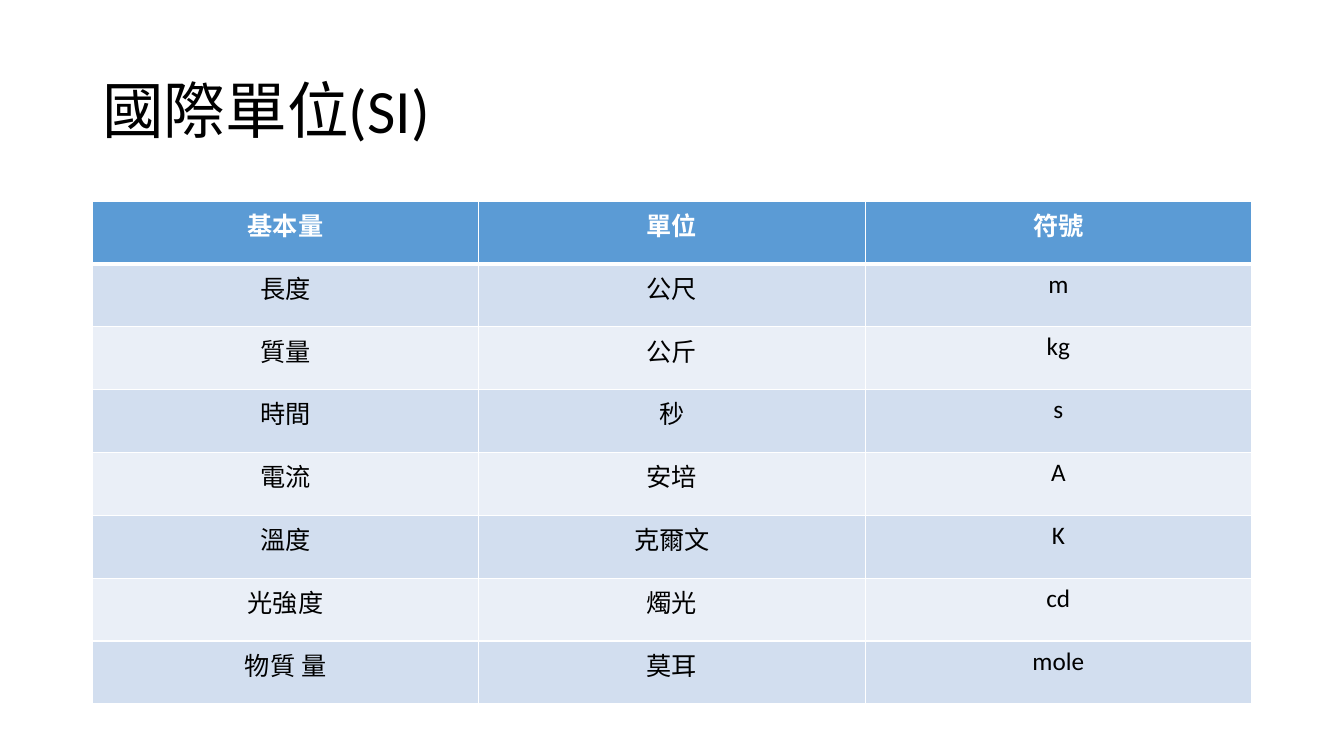
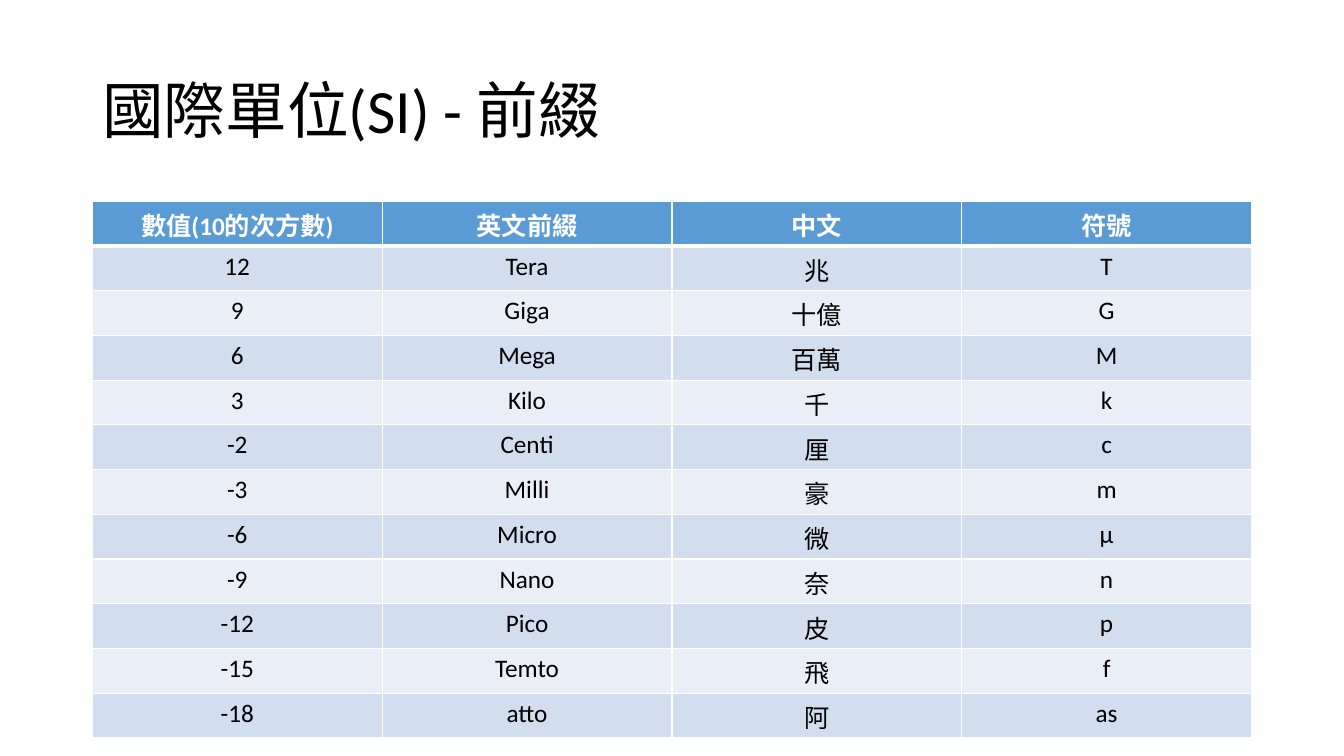
"""Build two slides of tables on SI base units and SI prefixes."""
from lxml.etree import SubElement
from pptx import Presentation
from pptx.dml.color import RGBColor
from pptx.enum.text import MSO_ANCHOR as Anchor, PP_ALIGN as Align
from pptx.oxml.ns import qn
from pptx.util import Pt

COLORS = {
    "text": "000000",
    "header": "5B9BD5",
    "header_text": "FFFFFF",
    "odd_row": "D2DEEF",
    "even_row": "EAEFF7",
    "border": "FFFFFF",
}
FONT = "Calibri"
LEFT, WIDTH = 66, 828
TITLE_TOP, TITLE_HEIGHT = 28.75, 104.4
TABLE_TOP = 143.75

base_units = [
    ("基本量", "單位", "符號"),
    ("長度", "公尺", "m"),
    ("質量", "公斤", "kg"),
    ("時間", "秒", "s"),
    ("電流", "安培", "A"),
    ("溫度", "克爾文", "K"),
    ("光強度", "燭光", "cd"),
    ("物質 量", "莫耳", "mole"),
]
prefixes = [
    ("數值(10的次方數)", "英文前綴", "中文", "符號"),
    ("12", "Tera", "兆", "T"),
    ("9", "Giga", "十億", "G"),
    ("6", "Mega", "百萬", "M"),
    ("3", "Kilo", "千", "k"),
    ("-2", "Centi", "厘", "c"),
    ("-3", "Milli", "豪", "m"),
    ("-6", "Micro", "微", "μ"),
    ("-9", "Nano", "奈", "n"),
    ("-12", "Pico", "皮", "p"),
    ("-15", "Temto", "飛", "f"),
    ("-18", "atto", "阿", "as"),
]
pages = [
    ("國際單位(SI)", base_units, 44.9),
    ("國際單位(SI) - 前綴", prefixes, 31.95),
]


def set_font(paragraph, size, color, bold=False):
    font = paragraph.font
    font.name, font.size, font.bold = FONT, Pt(size), bold
    font.color.rgb = RGBColor.from_string(COLORS[color])


def add_borders(cell, top, bottom):
    properties = cell._tc.get_or_add_tcPr()
    for side, width in (("L", 1), ("R", 1), ("T", top), ("B", bottom)):
        line = SubElement(properties, qn(f"a:ln{side}"), w=str(Pt(width)))
        fill = SubElement(line, qn("a:solidFill"))
        SubElement(fill, qn("a:srgbClr"), val=COLORS["border"])


deck = Presentation()
deck.slide_width, deck.slide_height = Pt(960), Pt(540)

for title, rows, row_height in pages:
    slide = deck.slides.add_slide(deck.slide_layouts[6])

    heading = slide.shapes.add_textbox(
        Pt(LEFT), Pt(TITLE_TOP), Pt(WIDTH), Pt(TITLE_HEIGHT)).text_frame
    heading.word_wrap = True
    heading.vertical_anchor = Anchor.MIDDLE
    heading.text = title
    heading.paragraphs[0].line_spacing = 0.9
    set_font(heading.paragraphs[0], 44, "text")

    column_count = len(rows[0])
    table = slide.shapes.add_table(
        len(rows), column_count, Pt(LEFT), Pt(TABLE_TOP),
        Pt(WIDTH), Pt(row_height * len(rows))).table
    for column in table.columns:
        column.width = Pt(WIDTH / column_count)

    for row_index, row in enumerate(rows):
        table.rows[row_index].height = Pt(row_height)
        is_header = row_index == 0
        band = "header" if is_header else "odd_row" if row_index % 2 else "even_row"
        for column_index, label in enumerate(row):
            cell = table.cell(row_index, column_index)
            add_borders(cell, 3 if row_index == 1 else 1, 3 if is_header else 1)
            cell.fill.solid()
            cell.fill.fore_color.rgb = RGBColor.from_string(COLORS[band])
            cell.text = label
            paragraph = cell.text_frame.paragraphs[0]
            paragraph.alignment = Align.CENTER
            set_font(paragraph, 18, "header_text" if is_header else "text", is_header)

deck.save("out.pptx")
